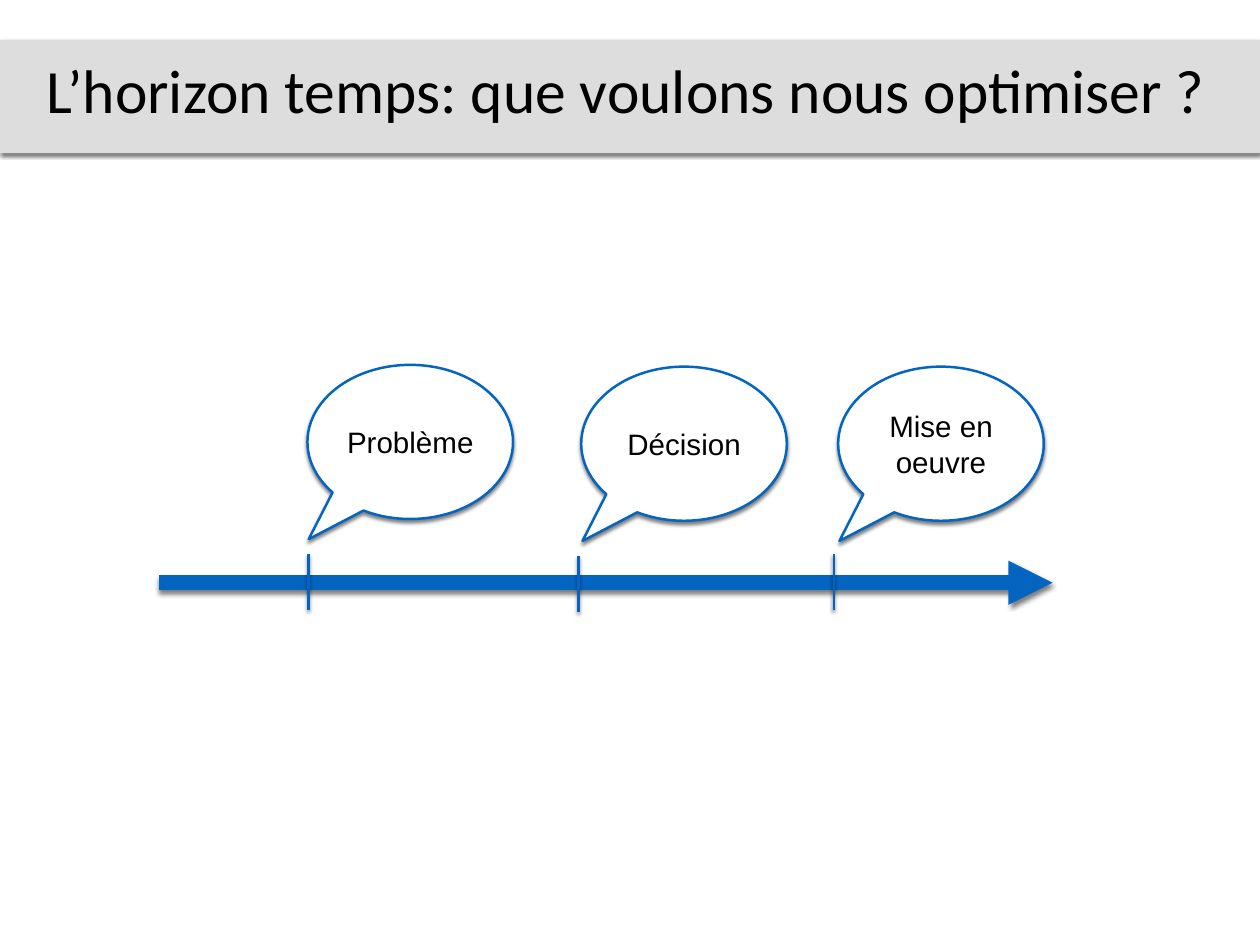
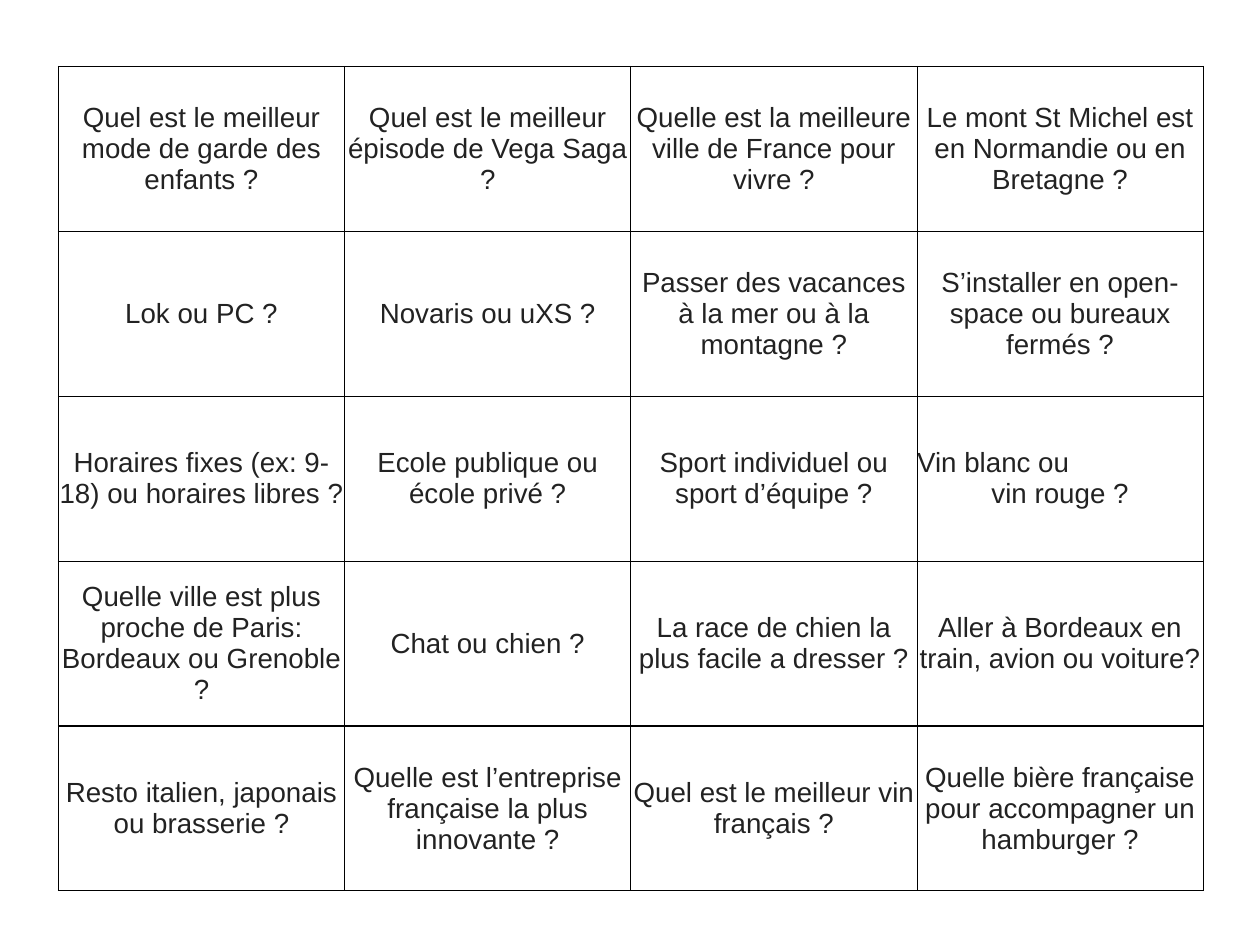
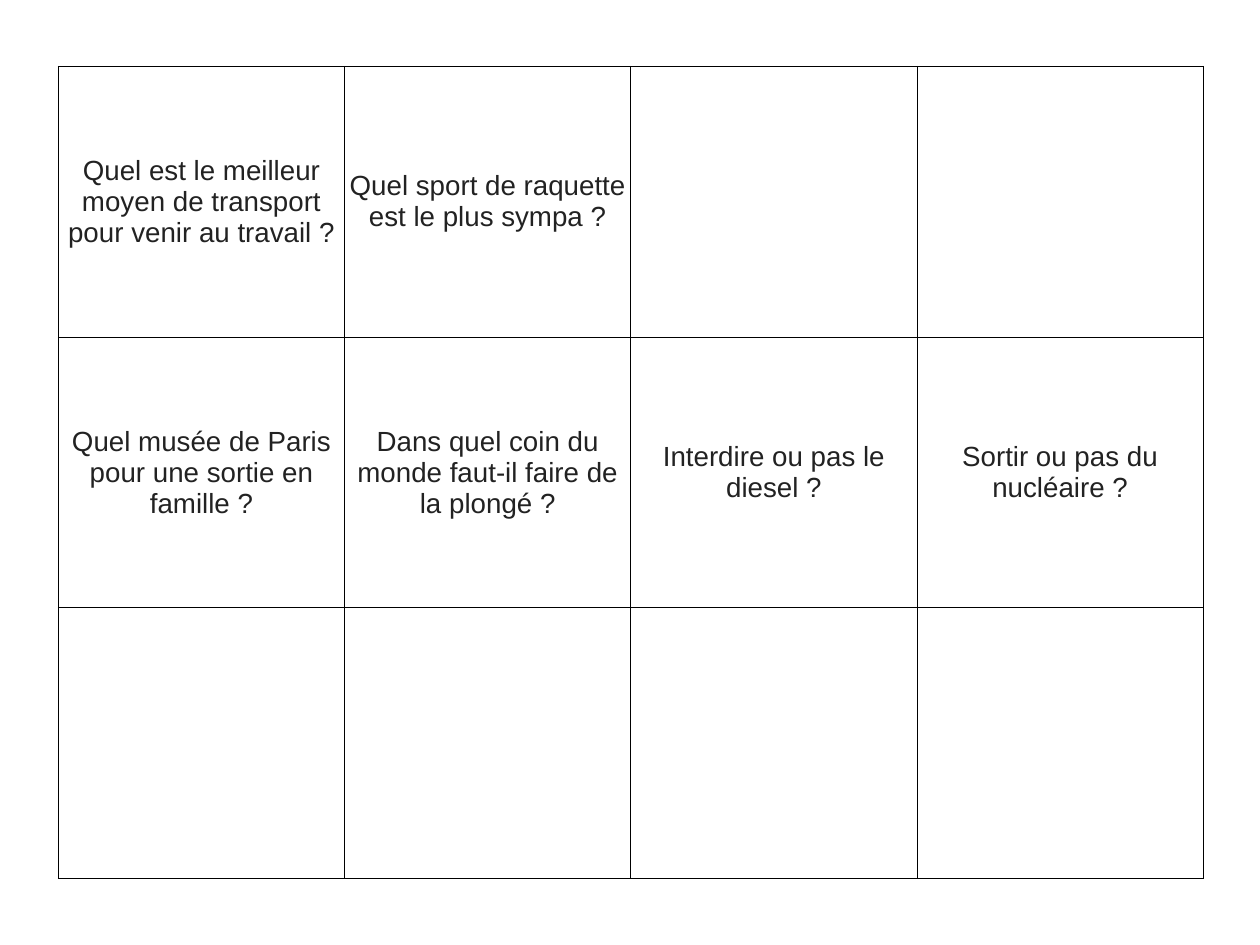
"""Build a three-slide workshop deck: a decision timeline and two grids of debate questions."""
from dataclasses import dataclass

from lxml.etree import SubElement
from pptx import Presentation
from pptx.dml.color import RGBColor
from pptx.enum.shapes import MSO_CONNECTOR as Connector, MSO_SHAPE as Shape
from pptx.enum.text import MSO_ANCHOR as Anchor, MSO_AUTO_SIZE as AutoSize, PP_ALIGN as Align
from pptx.oxml.ns import qn
from pptx.util import Emu, Inches, Pt


@dataclass(frozen=True)
class Theme:
    """Colours, fonts and type sizes shared by all slides."""
    black: str = "000000"
    white: str = "FFFFFF"
    band: str = "DDDDDD"
    blue: str = "0365C0"
    question: str = "222222"
    title_font: str = "Calibri"
    body_font: str = "Arial"
    title_size: float = 50
    label_size: float = 24
    question_size: float = 22.5
    inset: float = 0.06


THEME = Theme()
WIDTH, HEIGHT = 14.22, 10.67
TITLE_ONLY, BLANK = 5, 6
TITLE = "L’horizon temps: que voulons nous optimiser ?"
AXIS = (1.79, 11.88, 6.58)
TICK_HEIGHT = 0.63
CALLOUT_SIZE = (2.32, 1.74)
CALLOUT_TIP = (-0.494, 0.631)
STEPS = [
    ("Problème", 3.48, 6.26, 3.47, 4.12),
    ("Décision", 6.53, 6.28, 6.56, 4.14),
    ("Mise en oeuvre", 9.41, 6.26, 9.46, 4.14),
]
TABLE_LEFT, TABLE_TOP = 0.66, 0.75
TABLE_WIDTH = 12.92
GRIDS = [
    (9.31, [
        ["Quel est le meilleur mode de garde des enfants ?",
         "Quel est le meilleur épisode de Vega Saga ?",
         "Quelle est la meilleure ville de France pour vivre ?",
         "Le mont St Michel est en Normandie ou en Bretagne ?"],
        ["Lok ou PC ?",
         "Novaris ou uXS ?",
         "Passer des vacances à la mer ou à la montagne ?",
         "S’installer en open-space ou bureaux fermés ?"],
        ["Horaires fixes (ex: 9-18) ou horaires libres ?",
         "Ecole publique ou école privé ?",
         "Sport individuel ou sport d’équipe ?",
         "Vin blanc ou\nvin rouge ?"],
        ["Quelle ville est plus proche de Paris: Bordeaux ou Grenoble ?",
         "Chat ou chien ?",
         "La race de chien la plus facile a dresser ?",
         "Aller à Bordeaux en train, avion ou voiture?"],
        ["Resto italien, japonais ou brasserie ?",
         "Quelle est l’entreprise française la plus innovante ?",
         "Quel est le meilleur vin français ?",
         "Quelle bière française pour accompagner un hamburger ?"],
    ]),
    (9.17, [
        ["Quel est le meilleur moyen de transport pour venir au travail ?",
         "Quel sport de raquette est le plus sympa ?", "", ""],
        ["Quel musée de Paris pour une sortie en famille ?",
         "Dans quel coin du monde faut-il faire de la plongé ?",
         "Interdire ou pas le diesel ?",
         "Sortir ou pas du nucléaire ?"],
        ["", "", "", ""],
    ]),
]


def color(code):
    return RGBColor.from_string(code)


def style_font(para, family, size, code):
    for span in para.runs:
        span.font.name, span.font.size = family, Pt(size)
        span.font.color.rgb = color(code)


def set_insets(frame, inset):
    frame.margin_left = frame.margin_right = Inches(inset)
    frame.margin_top = frame.margin_bottom = Inches(inset)


def add_shadow(item):
    effects = SubElement(item.element.spPr, qn("a:effectLst"))
    shadow = SubElement(effects, qn("a:outerShdw"), blurRad=str(Pt(3)), dist=str(Pt(2)),
                        dir=str(90 * 60000), rotWithShape="0")
    tint = SubElement(shadow, qn("a:srgbClr"), val=THEME.black)
    SubElement(tint, qn("a:alpha"), val="50000")


def add_box(page, kind, place, fill, line=None):
    box = page.shapes.add_shape(kind, *map(Inches, place))
    box.fill.solid()
    box.fill.fore_color.rgb = color(fill)
    if line:
        box.line.color.rgb, box.line.width = color(line), Pt(2)
    else:
        box.line.fill.background()
    add_shadow(box)
    return box


def add_line(page, ends, width, arrow=False):
    line = page.shapes.add_connector(Connector.STRAIGHT, *map(Inches, ends))
    line.line.color.rgb, line.line.width = color(THEME.blue), Pt(width)
    if arrow:
        SubElement(line.line._get_or_add_ln(), qn("a:tailEnd"), type="triangle")
    add_shadow(line)


def add_title(page, text):
    band = add_box(page, Shape.RECTANGLE, (0, 0.45, WIDTH, 1.28), THEME.band)
    page.shapes._spTree.insert(2, band.element)
    title = page.shapes.title
    title.left, title.top, title.width, title.height = map(Inches, (0.46, 0.39, 13.4, 1.23))
    frame = title.text_frame
    frame.text = text
    frame.word_wrap, frame.auto_size = False, AutoSize.NONE
    frame.vertical_anchor = Anchor.MIDDLE
    set_insets(frame, THEME.inset)
    para = frame.paragraphs[0]
    para.alignment = Align.LEFT
    style_font(para, THEME.title_font, THEME.title_size, THEME.black)


def add_callout(page, label, left, top):
    box = add_box(page, Shape.OVAL_CALLOUT, (left, top, *CALLOUT_SIZE), THEME.white, THEME.blue)
    for index, value in enumerate(CALLOUT_TIP):
        box.adjustments[index] = value
    frame = box.text_frame
    frame.text, frame.word_wrap = label, True
    frame.vertical_anchor = Anchor.MIDDLE
    set_insets(frame, THEME.inset)
    para = frame.paragraphs[0]
    para.alignment = Align.CENTER
    style_font(para, THEME.body_font, THEME.label_size, THEME.black)


def build_timeline(deck):
    page = deck.slides.add_slide(deck.slide_layouts[TITLE_ONLY])
    add_title(page, TITLE)
    start, end, level = AXIS
    add_line(page, (start, level, end, level), 12, arrow=True)
    for _, tick, top, _, _ in STEPS:
        add_line(page, (tick, top + TICK_HEIGHT, tick, top), 2)
    for label, _, _, left, top in STEPS:
        add_callout(page, label, left, top)


def format_cell(cell, text):
    properties = cell._tc.get_or_add_tcPr()
    for side in ("lnL", "lnR", "lnT", "lnB"):
        border = SubElement(properties, qn(f"a:{side}"), w=str(Pt(1)))
        SubElement(SubElement(border, qn("a:solidFill")), qn("a:srgbClr"), val=THEME.black)
    cell.fill.background()
    cell.vertical_anchor = Anchor.MIDDLE
    set_insets(cell, 0)
    cell.text_frame.text = text
    paras = cell.text_frame.paragraphs
    for para in paras:
        para.alignment = Align.CENTER if para is paras[-1] else Align.LEFT
        style_font(para, THEME.body_font, THEME.question_size, THEME.question)


def build_grid(deck, height, rows):
    page = deck.slides.add_slide(deck.slide_layouts[BLANK])
    place = map(Inches, (TABLE_LEFT, TABLE_TOP, TABLE_WIDTH, height))
    table = page.shapes.add_table(len(rows), len(rows[0]), *place).table
    table.first_row = table.horz_banding = False
    for row in table.rows:
        row.height = Emu(Inches(height) // len(rows))
    for row_index, row in enumerate(rows):
        for column_index, text in enumerate(row):
            format_cell(table.cell(row_index, column_index), text)


def main():
    deck = Presentation()
    deck.slide_width, deck.slide_height = Inches(WIDTH), Inches(HEIGHT)
    build_timeline(deck)
    for height, rows in GRIDS:
        build_grid(deck, height, rows)
    deck.save("out.pptx")


if __name__ == "__main__":
    main()
